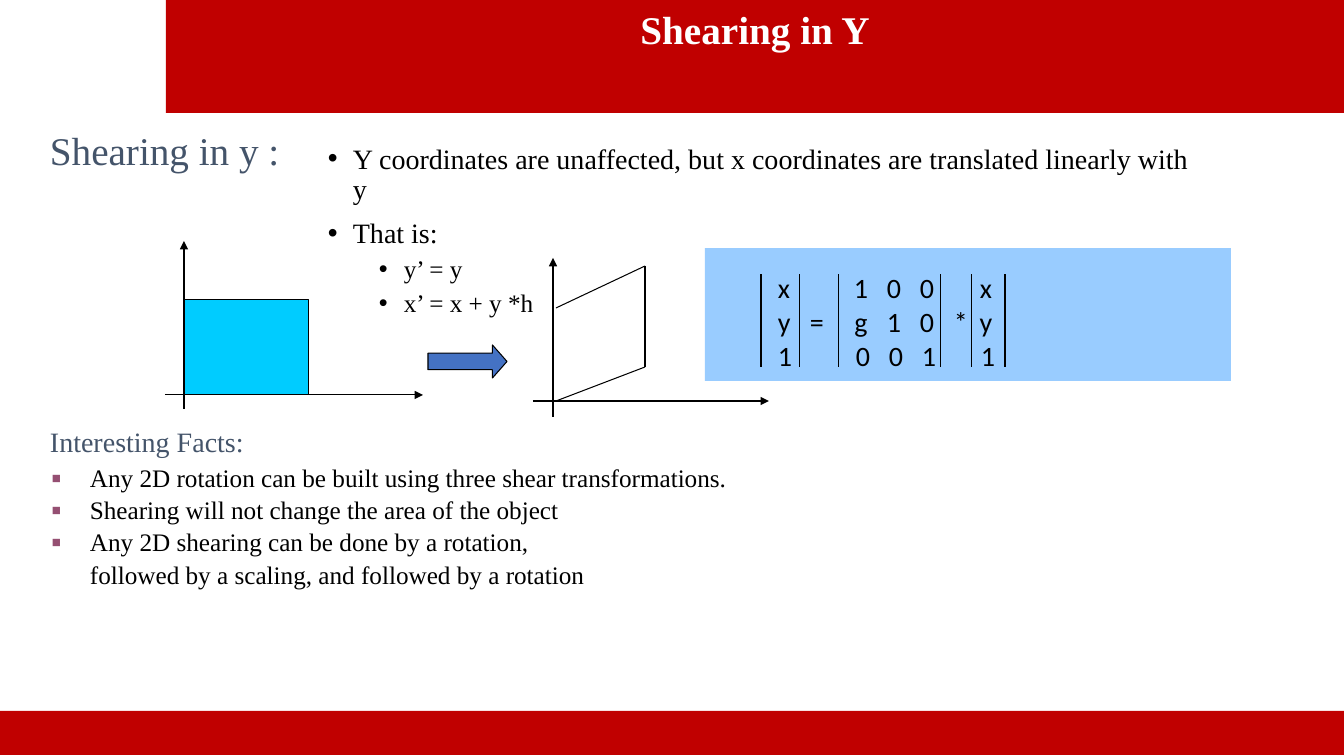
"""Build the slide on shearing in Y, with its axes, matrix equation and facts."""
from dataclasses import dataclass

from lxml.etree import SubElement
from pptx import Presentation
from pptx.dml.color import RGBColor
from pptx.enum.shapes import MSO_CONNECTOR, MSO_SHAPE
from pptx.enum.text import MSO_ANCHOR as ANCHOR, PP_ALIGN as ALIGN
from pptx.oxml.ns import qn
from pptx.util import Pt

PIXEL = 9071


@dataclass(frozen=True)
class Theme:
    serif: str = "Times New Roman"
    sans: str = "Calibri"
    red: str = "C00000"
    white: str = "FFFFFF"
    black: str = "000000"
    slate: str = "44546A"
    panel: str = "99CCFF"
    square: str = "00CCFF"
    arrow: str = "4472C4"
    bullet: str = "954F72"
    title: int = 28
    body: int = 20
    small: int = 18
    line: float = 0.75


theme = Theme()
presentation = Presentation()
presentation.slide_width, presentation.slide_height = 1344 * PIXEL, 756 * PIXEL
slide = presentation.slides.add_slide(presentation.slide_layouts[6])


def add_line(*ends, arrow=False):
    line = slide.shapes.add_connector(
        MSO_CONNECTOR.STRAIGHT, *[end * PIXEL for end in ends])
    line.line.color.rgb = RGBColor.from_string(theme.black)
    line.line.width = Pt(theme.line)
    properties = line.element.spPr
    if arrow:
        SubElement(properties.find(qn("a:ln")), qn("a:tailEnd"), type="triangle")
    SubElement(properties, qn("a:effectLst"))


def add_text(frame, lines, size, color, font=theme.serif, bold=False):
    paragraphs = []
    for text in lines:
        first = frame.paragraphs[0]
        paragraph = frame.add_paragraph() if first.runs else first
        run = paragraph.add_run()
        run.text = text
        run.font.name, run.font.size, run.font.bold = font, Pt(size), bold
        run.font.color.rgb = RGBColor.from_string(color)
        paragraphs.append(paragraph)
    return paragraphs


blocks = {}
for block, kind, box, fill, outlined in (
    ("header", MSO_SHAPE.RECTANGLE, (166, 0, 1178, 113), theme.red, False),
    ("footer", MSO_SHAPE.RECTANGLE, (0, 711, 1344, 44), theme.red, False),
    ("matrix panel", MSO_SHAPE.RECTANGLE, (705, 248, 526, 133), theme.panel, False),
    ("square", MSO_SHAPE.RECTANGLE, (185, 300, 124, 95), theme.square, True),
    ("shear arrow", MSO_SHAPE.RIGHT_ARROW, (428, 345, 79, 33), theme.arrow, True),
):
    shape = slide.shapes.add_shape(kind, *[side * PIXEL for side in box])
    shape.shadow.inherit = False
    shape.fill.solid()
    shape.fill.fore_color.rgb = RGBColor.from_string(fill)
    if outlined:
        shape.line.color.rgb = RGBColor.from_string(theme.black)
        shape.line.width = Pt(theme.line)
    else:
        shape.line.fill.background()
    blocks[block] = shape
blocks["shear arrow"].adjustments[1] = 0.44

frames = {}
for block, box, wraps in (
    ("heading", (40, 116, 1145, 62), True),
    ("rules", (318, 140, 894, 219), True),
    ("matrix", (768, 266, 245, 112), False),
    ("facts heading", (40, 420, 223, 44), False),
    ("facts", (42, 461, 1047, 235), True),
):
    text_box = slide.shapes.add_textbox(*[side * PIXEL for side in box])
    frames[block] = text_box.text_frame
    frames[block].word_wrap = wraps

header = blocks["header"].text_frame
header.vertical_anchor = ANCHOR.TOP
add_text(header, ["Shearing in Y"], theme.title, theme.white, bold=True)[0].alignment = ALIGN.CENTER
frames["heading"].vertical_anchor = ANCHOR.BOTTOM
add_text(frames["heading"], ["Shearing in y :"], theme.title, theme.slate)
add_text(frames["facts heading"], ["Interesting Facts:"], theme.body, theme.slate)

rules = add_text(frames["rules"], [
    "Y coordinates are unaffected, but x coordinates are translated linearly with y",
    "That is:"], theme.body, theme.black)
formulas = add_text(frames["rules"], ["y’ = y", "x’ = x + y *h"], theme.small, theme.black)
facts = add_text(frames["facts"], [
    "Any 2D rotation can be built using three shear transformations.",
    "Shearing will not change the area of the object",
    "Any 2D shearing can be done by a rotation,",
    "followed by a scaling, and followed by a rotation"], theme.small, theme.black)

for paragraphs, level, margin, hanging, before, bullet in (
    (rules, 0, 25, 25, 10, "•"),
    (formulas, 1, 76, 25, 5, "•"),
    (facts[:3], 0, 38, 38, 3.5, "■"),
    (facts[3:], 0, 38, 0, 3.5, None),
):
    for paragraph in paragraphs:
        paragraph.level = level
        paragraph.line_spacing, paragraph.space_before = 0.9, Pt(before)
        properties = paragraph._p.get_or_add_pPr()
        properties.set("marL", str(margin * PIXEL))
        properties.set("indent", str(-hanging * PIXEL))
        if bullet == "■":
            color = SubElement(properties, qn("a:buClr"))
            SubElement(color, qn("a:srgbClr"), val=theme.bullet)
            SubElement(properties, qn("a:buSzPct"), val="60000")
        if bullet:
            SubElement(properties, qn("a:buFont"), typeface="Arial")
            SubElement(properties, qn("a:buChar"), char=bullet)

matrix_rows = ["x\t\t1\t0\t0\t\tx", "y\t=\tg\t1\t0\t*\ty", "1\t\t0\t0\t1\t\t1"]
matrix = add_text(frames["matrix"], matrix_rows, theme.body, theme.black, theme.sans)
for paragraph, shift in zip(matrix, (0, 0, 2)):
    stops = SubElement(paragraph._p.get_or_add_pPr(), qn("a:tabLst"))
    for position in (39, 83, 116, 149, 183, 208):
        SubElement(stops, qn("a:tab"), pos=str((position + shift) * PIXEL), algn="ctr")

for bar in (761, 800, 839, 941, 972, 1005):
    add_line(bar, 274, bar, 367)
for axis in ((184, 409, 184, 241), (165, 395, 423, 395),
             (553, 417, 553, 258), (533, 401, 769, 401)):
    add_line(*axis, arrow=True)
for edge in ((556, 401, 645, 367), (556, 308, 645, 266), (645, 266, 645, 367)):
    add_line(*edge)

presentation.save("out.pptx")
